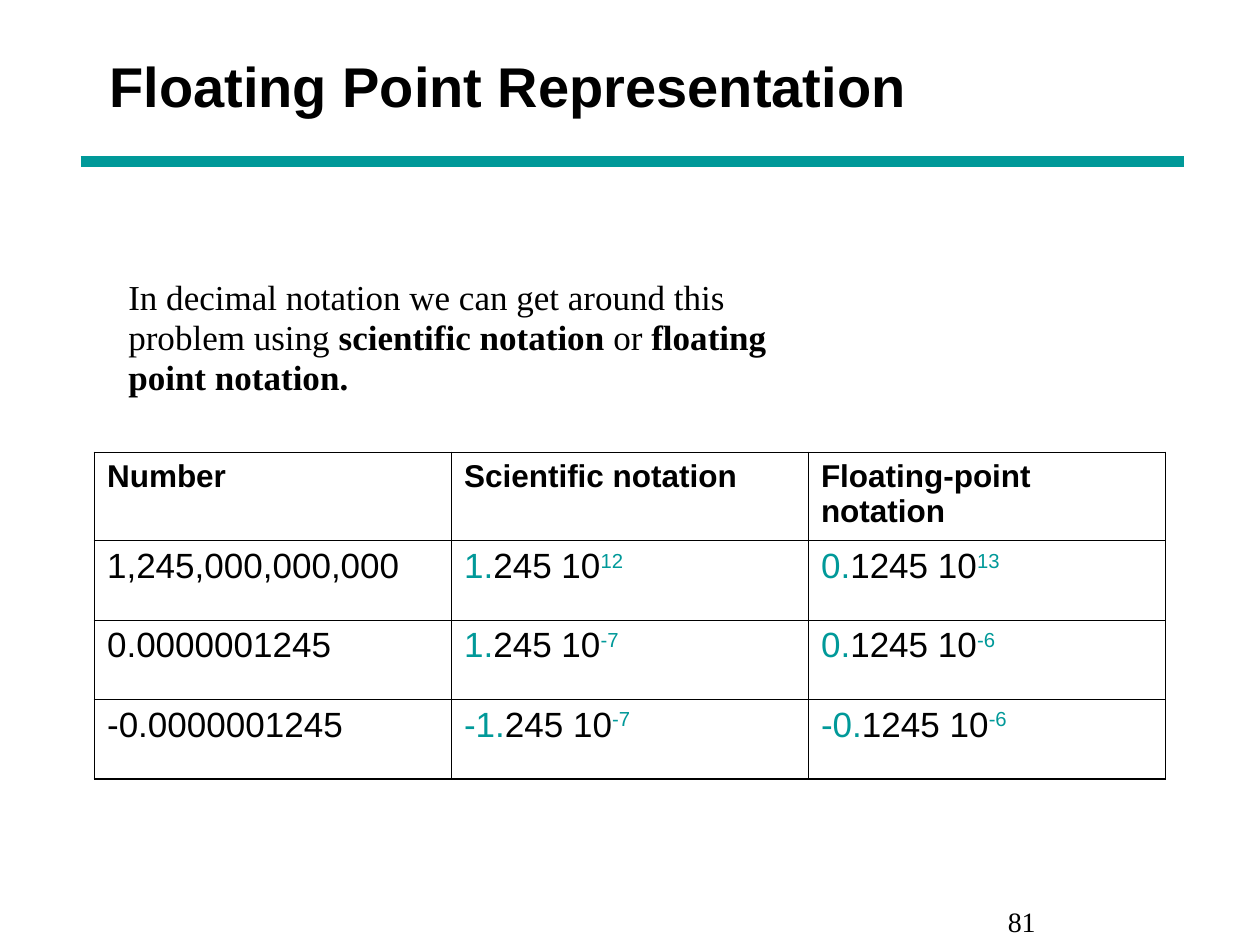
from dataclasses import dataclass

import pptx
import pptx.dml.color
import pptx.enum.shapes
import pptx.enum.text
import pptx.oxml
import pptx.oxml.ns
import pptx.util

COLORS = {"text": "000000", "accent": "009999", "background": "FFFFFF"}
SANS, SERIF = "Arial", "Times New Roman"
WIDTH, HEIGHT = pptx.util.Inches(10), pptx.util.Inches(7.5)
COLUMNS, ROWS = 100, 75
OUTER, INNER = 1.08, 0.45
MARGINS = {"margin_left": 1, "margin_right": 1, "margin_top": 0.5, "margin_bottom": 0.5}


@dataclass(frozen=True)
class Span:
    text: str
    color: str = "text"
    bold: bool = False
    raised: bool = False


@dataclass(frozen=True)
class Area:
    left: float
    top: float
    width: float
    height: float


@dataclass(frozen=True)
class Number:
    """A value with the lead digits, remaining digits and exponent of both notations."""
    plain: str
    scientific: tuple[str, str, str]
    floating: tuple[str, str, str]


HEADINGS = ["Number", "Scientific notation", "Floating-point notation"]
NUMBERS = [
    Number("1,245,000,000,000", ("1.", "245 10", "12"), ("0.", "1245 10", "13")),
    Number("0.0000001245", ("1.", "245 10", "-7"), ("0.", "1245 10", "-6")),
    Number("-0.0000001245", ("-1.", "245 10", "-7"), ("-0.", "1245 10", "-6")),
]
INTRODUCTION = [
    [Span("In decimal notation we can get around this")],
    [Span("problem using "), Span("scientific notation", bold=True),
     Span(" or "), Span("floating", bold=True)],
    [Span("point notation.", bold=True)],
]


def across(columns: float) -> int:
    return round(WIDTH * columns / COLUMNS)


def down(rows: float) -> int:
    return round(HEIGHT * rows / ROWS)


def place(area: Area) -> tuple[int, int, int, int]:
    return across(area.left), down(area.top), across(area.width), down(area.height)


def rgb(name: str) -> pptx.dml.color.RGBColor:
    return pptx.dml.color.RGBColor.from_string(COLORS[name])


def write(paragraph, spans: list[Span], font: str, size: float) -> None:
    for span in spans:
        run = paragraph.add_run()
        run.text = span.text
        values = {"name": font, "size": pptx.util.Pt(size), "bold": span.bold}
        for name, value in values.items():
            setattr(run.font, name, value)
        run.font.color.rgb = rgb(span.color)
        if span.raised:
            run.font._element.set("baseline", "30000")


def add_text(page, area: Area, lines: list[list[Span]], font: str, size: float,
             anchor=pptx.enum.text.MSO_ANCHOR.TOP):
    frame = page.shapes.add_textbox(*place(area)).text_frame
    values = {"word_wrap": True, "vertical_anchor": anchor}
    values |= {name: across(margin) for name, margin in MARGINS.items()}
    for name, value in values.items():
        setattr(frame, name, value)
    for index, spans in enumerate(lines):
        paragraph = frame.add_paragraph() if index else frame.paragraphs[0]
        write(paragraph, spans, font, size)
    return frame


def add_rule(page, left: float, right: float, top: float) -> None:
    rule = page.shapes.add_connector(
        pptx.enum.shapes.MSO_CONNECTOR.STRAIGHT,
        across(left), down(top), across(right), down(top))
    rule.line.color.rgb = rgb("accent")
    rule.line.width = pptx.util.Pt(6)
    rule._element.spPr.append(pptx.oxml.parse_xml(
        f'<a:effectLst {pptx.oxml.ns.nsdecls("a")}/>'))


def add_borders(cell, widths: dict[str, float]) -> None:
    properties = cell._tc.get_or_add_tcPr()
    for side, width in widths.items():
        properties.append(pptx.oxml.parse_xml(
            f'<a:ln{side} {pptx.oxml.ns.nsdecls("a")} w="{pptx.util.Pt(width)}">'
            f'<a:solidFill><a:srgbClr val="{COLORS["text"]}"/></a:solidFill>'
            f'</a:ln{side}>'))


def notation(parts: tuple[str, str, str]) -> list[Span]:
    lead, digits, exponent = parts
    return [Span(lead, "accent"), Span(digits), Span(exponent, "accent", raised=True)]


def add_number_table(page, area: Area, header_height: float) -> None:
    contents = [[[Span(heading, bold=True)] for heading in HEADINGS]]
    contents += [[[Span(number.plain)], notation(number.scientific),
                  notation(number.floating)] for number in NUMBERS]
    last_row, last_column = len(contents) - 1, len(HEADINGS) - 1
    table = page.shapes.add_table(last_row + 1, last_column + 1, *place(area)).table
    table.first_row = table.horz_banding = False
    for column in table.columns:
        column.width = across(area.width / len(HEADINGS))
    for index, row in enumerate(table.rows):
        body_height = (area.height - header_height) / len(NUMBERS)
        row.height = down(body_height if index else header_height)

    for row, line in enumerate(contents):
        for column, spans in enumerate(line):
            cell = table.cell(row, column)
            for name, margin in MARGINS.items():
                setattr(cell, name, across(margin))
            write(cell.text_frame.paragraphs[0], spans, SANS, 20 if row else 18)
            add_borders(cell, {
                "L": INNER if column else OUTER,
                "R": OUTER if column == last_column else INNER,
                "T": INNER if row else OUTER,
                "B": OUTER if row == last_row else INNER,
            })
            cell.fill.background()


def main() -> None:
    deck = pptx.Presentation()
    deck.slide_width, deck.slide_height = WIDTH, HEIGHT
    page = deck.slides.add_slide(deck.slide_layouts[6])
    page.background.fill.solid()
    page.background.fill.fore_color.rgb = rgb("background")

    add_rule(page, 6.4, 94, 12.8)
    add_text(page, Area(7.7, 0.5, 84.2, 12.5),
             [[Span("Floating Point Representation", bold=True)]], SANS, 32,
             pptx.enum.text.MSO_ANCHOR.MIDDLE)

    introduction = add_text(page, Area(9.2, 21.7, 85, 45), INTRODUCTION, SERIF, 20)
    introduction.margin_top = down(0.8)
    for index, paragraph in enumerate(introduction.paragraphs):
        paragraph.line_spacing = 0.74 if index else 0.8
        paragraph.space_before = pptx.util.Pt(5 if index else 0)

    add_number_table(page, Area(7.5, 35.9, 85, 25.9), header_height=7)
    add_text(page, Area(79, 71.3, 21, 3.7), [[Span("81")]], SERIF, 16)
    deck.save("out.pptx")


if __name__ == "__main__":
    main()
